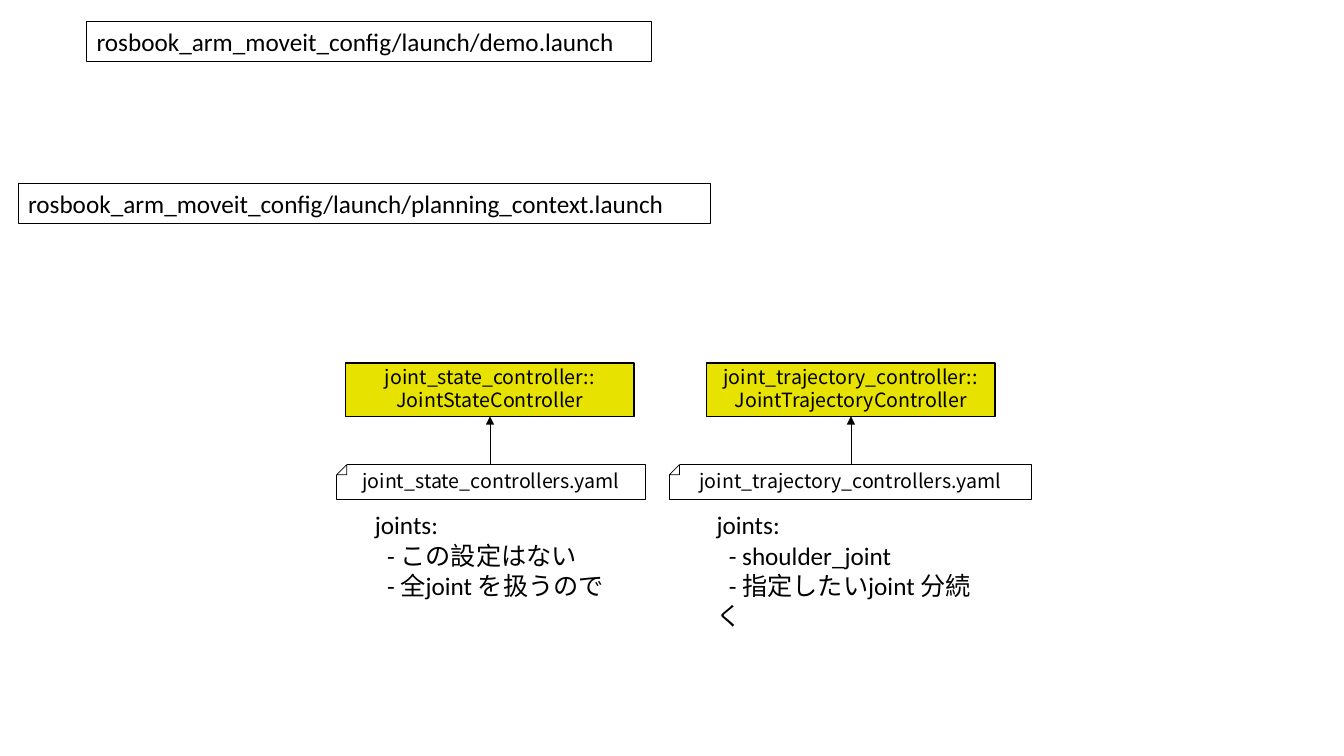
from dataclasses import dataclass

from lxml import etree
from pptx import Presentation
from pptx.dml.color import RGBColor
from pptx.enum import shapes, text
from pptx.oxml import ns
from pptx.util import Inches, Pt


@dataclass(frozen=True)
class Theme:
    ink: RGBColor = RGBColor(0, 0, 0)
    paper: RGBColor = RGBColor(255, 255, 255)
    controller: RGBColor = RGBColor(0xE7, 0xE2, 0)
    latin: str = "Calibri"
    japanese: str = "Noto Sans CJK JP"
    body_size: float = 18
    label_size: float = 14
    body_leading: float = 21.5
    label_leading: float = 16.5
    thin: float = 0.5
    thick: float = 1


THEME = Theme()
FOLD = 0.1
FILE_TOP, FILE_HEIGHT = 4.61, 0.34
CONTROLLER_TOP, CONTROLLER_WIDTH, CONTROLLER_HEIGHT = 3.6, 2.86, 0.53


def add_box(slide, box, fill=None, line=THEME.thin, kind=shapes.MSO_SHAPE.RECTANGLE):
    """Add a preset shape; a fill or line of None leaves that part out."""
    shape = slide.shapes.add_shape(kind, *map(Inches, box))
    shape.shadow.inherit = False
    if fill is None:
        shape.fill.background()
    else:
        shape.fill.solid()
        shape.fill.fore_color.rgb = fill
    if line is None:
        shape.line.fill.background()
    else:
        shape.line.color.rgb = THEME.ink
        shape.line.width = Pt(line)
    return shape


def write(shape, lines, font, size, leading, align=text.PP_ALIGN.LEFT,
          anchor=text.MSO_ANCHOR.TOP):
    """Write one paragraph per line, indenting list items on their first line."""
    frame = shape.text_frame
    frame.word_wrap = True
    frame.vertical_anchor = anchor
    for index, line in enumerate(lines):
        paragraph = frame.paragraphs[0] if index == 0 else frame.add_paragraph()
        paragraph.alignment = align
        paragraph.line_spacing = Pt(leading)
        if line.startswith("- "):
            paragraph._p.get_or_add_pPr().set("indent", str(Inches(0.12)))
        run = paragraph.add_run()
        run.text = line
        run.font.name = font
        run.font.size = Pt(size)
        run.font.color.rgb = THEME.ink
        east_asian = etree.SubElement(run._r.get_or_add_rPr(), ns.qn("a:ea"))
        east_asian.set("typeface", THEME.japanese)


def write_body(shape, lines):
    write(shape, lines, THEME.latin, THEME.body_size, THEME.body_leading)


def write_label(shape, lines, anchor):
    write(shape, lines, THEME.japanese, THEME.label_size, THEME.label_leading,
          text.PP_ALIGN.CENTER, anchor)


def add_launch_file(slide, left, top, width, name):
    write_body(add_box(slide, (left, top, width, 0.4)), [name])


def add_controller(slide, left, lines):
    box = (left, CONTROLLER_TOP, CONTROLLER_WIDTH, CONTROLLER_HEIGHT)
    shape = add_box(slide, box, THEME.controller, THEME.thick)
    write_label(shape, lines, text.MSO_ANCHOR.BOTTOM)


def add_yaml_file(slide, left, width, name):
    """Add a file box whose top left corner is folded."""
    shape = add_box(slide, (left, FILE_TOP, width, FILE_HEIGHT))
    write_label(shape, [name], text.MSO_ANCHOR.TOP)
    add_box(slide, (left - FOLD, FILE_TOP - FOLD, 2 * FOLD, 2 * FOLD), THEME.paper, None)
    fold = add_box(slide, (left, FILE_TOP, FOLD, FOLD), THEME.paper,
                   kind=shapes.MSO_SHAPE.RIGHT_TRIANGLE)
    fold._element.spPr.xfrm.set("flipH", "1")


def add_arrow(slide, x):
    """Add an arrow from the yaml file up to its controller."""
    arrow = slide.shapes.add_connector(
        shapes.MSO_CONNECTOR.STRAIGHT, Inches(x), Inches(FILE_TOP),
        Inches(x), Inches(CONTROLLER_TOP + CONTROLLER_HEIGHT))
    arrow.line.color.rgb = THEME.ink
    arrow.line.width = Pt(THEME.thin)
    etree.SubElement(arrow.line._get_or_add_ln(), ns.qn("a:tailEnd")).set("type", "triangle")
    etree.SubElement(arrow._element.spPr, ns.qn("a:effectLst"))


def add_joints(slide, left, width, items):
    box = slide.shapes.add_textbox(*map(Inches, (left, 5.01, width, 1.01)))
    write_body(box, ["joints:"] + [f"- {item}" for item in items])


def main():
    presentation = Presentation()
    presentation.slide_width = Inches(13.33)
    presentation.slide_height = Inches(7.5)
    slide = presentation.slides.add_slide(presentation.slide_layouts[6])

    add_launch_file(slide, 0.86, 0.21, 5.6, "rosbook_arm_moveit_config/launch/demo.launch")
    add_launch_file(slide, 0.18, 1.82, 6.87,
                    "rosbook_arm_moveit_config/launch/planning_context.launch")

    # controller left, controller lines, file left and width, file name,
    # joints left and width, joint items
    columns = [
        (3.43, ["joint_state_controller::", "JointStateController"],
         3.34, 3.06, "joint_state_controllers.yaml",
         3.62, 2.48, ["この設定はない", "全joint を扱うので"]),
        (7.01, ["joint_trajectory_controller::", "JointTrajectoryController"],
         6.64, 3.59, "joint_trajectory_controllers.yaml",
         7.01, 2.8, ["shoulder_joint", "指定したいjoint 分続く"]),
    ]
    for left, lines, file_left, file_width, name, joints_left, joints_width, items in columns:
        add_controller(slide, left, lines)
        add_yaml_file(slide, file_left, file_width, name)
        add_arrow(slide, left + CONTROLLER_WIDTH / 2)
        add_joints(slide, joints_left, joints_width, items)

    presentation.save("out.pptx")


if __name__ == "__main__":
    main()
